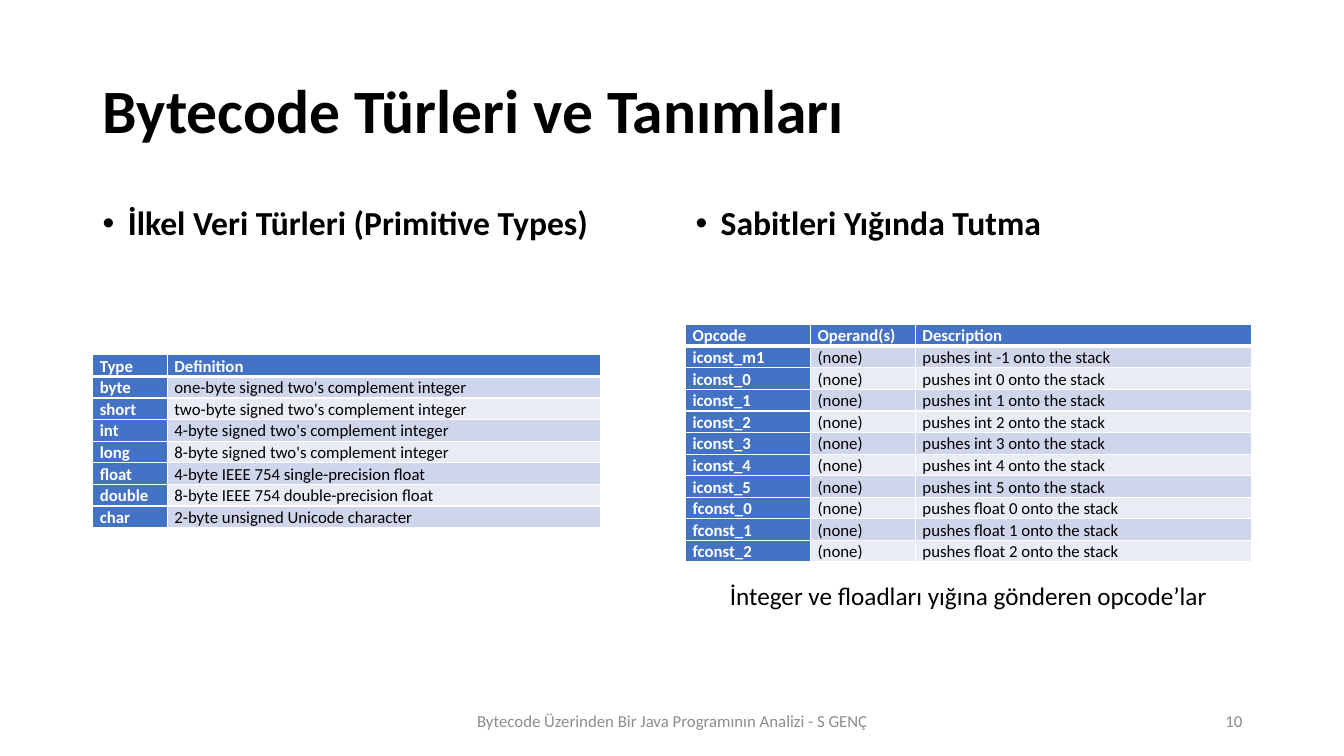
from lxml import etree
from pptx import Presentation
from pptx.dml.color import RGBColor
from pptx.enum.text import MSO_ANCHOR, PP_ALIGN
from pptx.oxml.ns import qn
from pptx.util import Inches, Pt

LEFT, CENTER, RIGHT = PP_ALIGN.LEFT, PP_ALIGN.CENTER, PP_ALIGN.RIGHT
JUSTIFY = PP_ALIGN.JUSTIFY
TOP, MIDDLE = MSO_ANCHOR.TOP, MSO_ANCHOR.MIDDLE
FONT = "Calibri"
COLORS = {"ink": "000000", "white": "FFFFFF", "gray": "8C8C8C",
          "head": "4472C4", "odd": "CFD5EA", "even": "E9EBF5"}

TYPES = [
    ("Type", "Definition"),
    ("byte", "one-byte signed two's complement integer"),
    ("short", "two-byte signed two's complement integer"),
    ("int", "4-byte signed two's complement integer"),
    ("long", "8-byte signed two's complement integer"),
    ("float", "4-byte IEEE 754 single-precision float"),
    ("double", "8-byte IEEE 754 double-precision float"),
    ("char", "2-byte unsigned Unicode character"),
]
CONSTS = [("int", n) for n in range(-1, 6)] + [("float", n) for n in range(3)]
OPCODES = [("Opcode", "Operand(s)", "Description")] + [
    (f"{kind[0]}const_{'m1' if n < 0 else n}", "(none)",
     f"pushes {kind} {n} onto the stack") for kind, n in CONSTS]


def style(para, size, color="ink", bold=False, align=LEFT, space=1.0):
    """Format one paragraph."""
    para.alignment, para.line_spacing = align, space
    font = para.font
    font.name, font.size, font.bold = FONT, Pt(size), bold
    font.color.rgb = RGBColor.from_string(COLORS[color])


def add_title(slide, box, text):
    """Place the slide title."""
    title = slide.shapes.title
    title.left, title.top, title.width, title.height = map(Inches, box)
    frame = title.text_frame
    frame.text, frame.word_wrap, frame.vertical_anchor = text, True, MIDDLE
    style(frame.paragraphs[0], 44, bold=True, space=0.9)


def add_text(slide, box, text, anchor=TOP, **look):
    """Add a line of text and return its paragraph."""
    frame = slide.shapes.add_textbox(*map(Inches, box)).text_frame
    frame.text, frame.word_wrap, frame.vertical_anchor = text, True, anchor
    para = frame.paragraphs[0]
    style(para, **look)
    return para


def add_bullet(slide, box, text):
    """Add a bold bulleted heading."""
    para = add_text(slide, box, text, size=24, bold=True, space=0.9)
    para.space_before = Pt(10)
    props = para._p.get_or_add_pPr()
    props.set("marL", str(Inches(0.25)))
    props.set("indent", str(-Inches(0.25)))
    etree.SubElement(props, qn("a:buFont")).set("typeface", "Arial")
    etree.SubElement(props, qn("a:buChar")).set("char", "•")
    props.append(props.find(qn("a:defRPr")))


def add_borders(cell, is_head):
    """Draw white cell edges, thick below the header."""
    props = cell._tc.get_or_add_tcPr()
    for side in ("L", "R", "T", "B"):
        width = 3 if is_head and side == "B" else 1
        line = etree.SubElement(props, qn(f"a:ln{side}"), w=str(Pt(width)))
        fill = etree.SubElement(line, qn("a:solidFill"))
        etree.SubElement(fill, qn("a:srgbClr"), val=COLORS["white"])


def add_grid(slide, left, top, widths, rows):
    """Add a banded table with a header row and column."""
    high = Inches(0.2)
    table = slide.shapes.add_table(
        len(rows), len(widths), Inches(left), Inches(top),
        Inches(sum(widths)), high * len(rows)).table
    table.first_col = True
    for col, width in zip(table.columns, widths):
        col.width = Inches(width)
    for r, row in enumerate(rows):
        table.rows[r].height = high
        for c, text in enumerate(row):
            cell = table.cell(r, c)
            head = r == 0 or c == 0
            cell.margin_left = cell.margin_right = Inches(0.07)
            cell.margin_top = cell.margin_bottom = 0
            add_borders(cell, r == 0)
            band = "head" if head else "odd" if r % 2 else "even"
            cell.fill.solid()
            cell.fill.fore_color.rgb = RGBColor.from_string(COLORS[band])
            cell.text = text
            style(cell.text_frame.paragraphs[0], 12,
                  "white" if head else "ink", head, JUSTIFY, 1.07)


def add_types(slide, left, top):
    """Place the primitive types column."""
    add_bullet(slide, (left, top, 5.25, 4.76),
               "İlkel Veri Türleri (Primitive Types)")
    add_grid(slide, left, top + 1.52, (0.74, 4.3), TYPES)


def add_opcodes(slide, left, top):
    """Place the constant opcodes column."""
    add_bullet(slide, (left, top, 5.62, 4.76), "Sabitleri Yığında Tutma")
    add_grid(slide, left, top + 1.22, (1.24, 1.04, 3.33), OPCODES)
    add_text(slide, (left + 0.34, top + 3.71, 4.97, 0.4),
             "İnteger ve floadları yığına gönderen opcode’lar",
             size=18, align=JUSTIFY)


def add_footer(slide, top):
    """Place the footer and page number."""
    look = {"anchor": MIDDLE, "size": 12, "color": "gray"}
    add_text(slide, (4.42, top, 4.5, 0.4),
             "Bytecode Üzerinden Bir Java Programının Analizi - S GENÇ",
             align=CENTER, **look)
    add_text(slide, (9.42, top, 3, 0.4), "10", align=RIGHT, **look)


def main():
    """Build and save the slide."""
    deck = Presentation()
    deck.slide_width, deck.slide_height = Inches(13.33), Inches(7.5)
    slide = deck.slides.add_slide(deck.slide_layouts[5])
    add_title(slide, (0.92, 0.4, 11.5, 1.45), "Bytecode Türleri ve Tanımları")
    add_types(slide, 0.92, 2)
    add_opcodes(slide, 6.8, 2)
    add_footer(slide, 6.95)
    deck.save("out.pptx")


if __name__ == "__main__":
    main()
